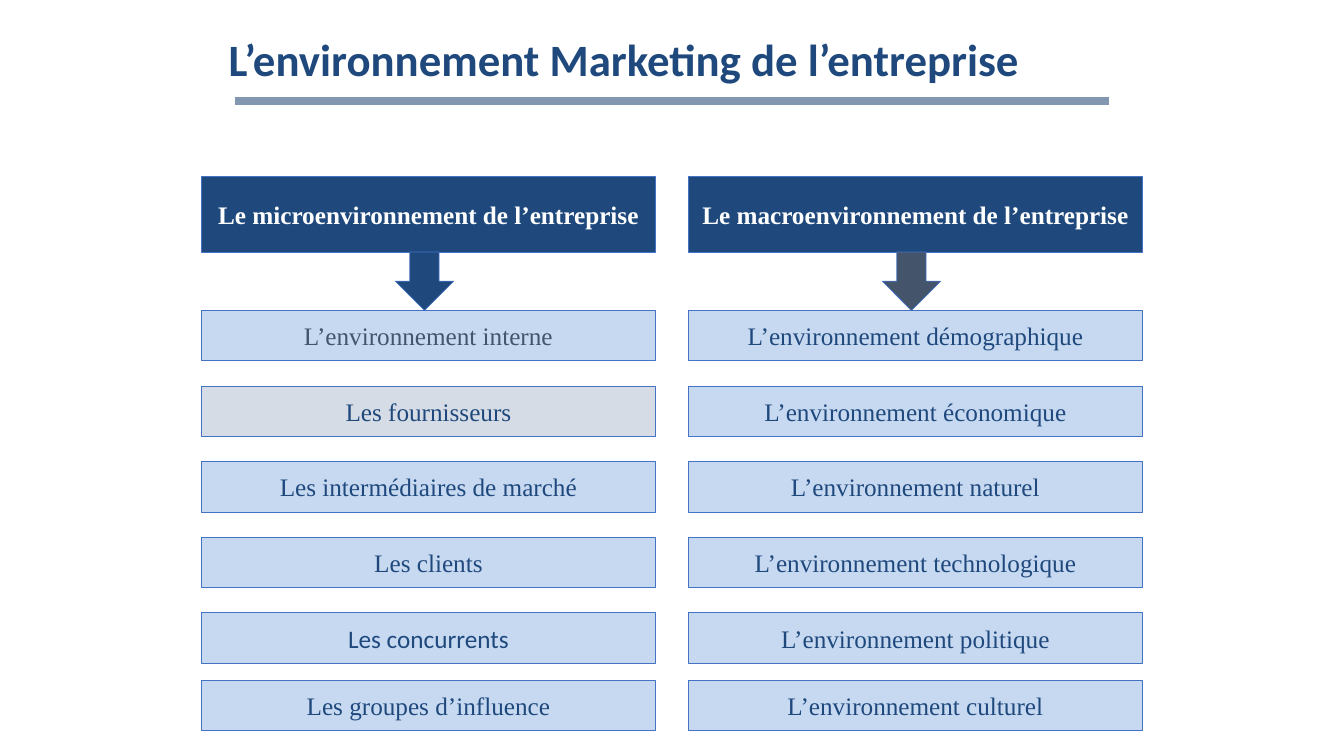
from dataclasses import dataclass

from pptx import Presentation
from pptx.dml.color import RGBColor
from pptx.enum.shapes import MSO_CONNECTOR as Connector, MSO_SHAPE as Shape
from pptx.enum.text import MSO_ANCHOR as Anchor, PP_ALIGN as Align
from pptx.oxml.ns import qn
from pptx.util import Inches, Pt


@dataclass(frozen=True)
class Theme:
    navy: str = "1F497D"
    slate: str = "44546A"
    pale_blue: str = "C6D9F1"
    pale_grey: str = "D6DCE5"
    border: str = "4472C4"
    rule: str = "8497B0"
    white: str = "FFFFFF"
    sans: str = "Calibri"
    serif: str = "Times New Roman"
    title_size: int = 32
    body_size: int = 18
    border_width: float = 0.5
    rule_width: int = 6


THEME = Theme()

TITLE = "L’environnement Marketing de l’entreprise"
COLUMNS = [
    {
        "heading": "Le microenvironnement de l’entreprise",
        "arrow": THEME.navy,
        "factors": [
            "L’environnement interne",
            "Les fournisseurs",
            "Les intermédiaires de marché",
            "Les clients",
            "Les concurrents",
            "Les groupes d’influence",
        ],
    },
    {
        "heading": "Le macroenvironnement de l’entreprise",
        "arrow": THEME.slate,
        "factors": [
            "L’environnement démographique",
            "L’environnement économique",
            "L’environnement naturel",
            "L’environnement technologique",
            "L’environnement politique",
            "L’environnement culturel",
        ],
    },
]
# Factors whose look departs from the common one
SPECIAL = {
    "L’environnement interne": {"color": THEME.slate},
    "Les fournisseurs": {"fill": THEME.pale_grey},
    "Les concurrents": {"font": THEME.sans},
}

COLUMN_LEFT, COLUMN_STEP, COLUMN_WIDTH = 2, 4.83, 4.5
HEADING_TOP, HEADING_HEIGHT = 1.75, 0.75
ARROW_SIZE, ARROW_OFFSET = 0.58, 1.92
FACTOR_TOP, FACTOR_STEP, FACTOR_HEIGHT = 3.08, 0.75, 0.5
LAST_FACTOR_TOP = 6.75


def rgb(value):
    return RGBColor.from_string(value)


def write(shape, text, size, color, font, bold=False, align=Align.CENTER):
    frame = shape.text_frame
    frame.word_wrap = True
    frame.vertical_anchor = Anchor.MIDDLE
    para = frame.paragraphs[0]
    para.text = text
    para.alignment = align
    para.font.size = Pt(size)
    para.font.name = font
    para.font.bold = bold
    para.font.color.rgb = rgb(color)
    return para


def add_block(page, kind, left, top, width, height, fill):
    block = page.shapes.add_shape(
        kind, Inches(left), Inches(top), Inches(width), Inches(height))
    block.shadow.inherit = False
    block.fill.solid()
    block.fill.fore_color.rgb = rgb(fill)
    block.line.color.rgb = rgb(THEME.border)
    block.line.width = Pt(THEME.border_width)
    return block


def add_title(page):
    box = page.shapes.add_textbox(
        Inches(2.17), Inches(0.3), Inches(9), Inches(0.62))
    para = write(box, TITLE, THEME.title_size, THEME.navy, THEME.sans,
                 bold=True, align=Align.LEFT)
    para.line_spacing = 0.9
    rule = page.shapes.add_connector(
        Connector.STRAIGHT, Inches(2.33), Inches(1), Inches(11), Inches(1))
    rule.line.color.rgb = rgb(THEME.rule)
    rule.line.width = Pt(THEME.rule_width)
    properties = rule.element.spPr
    properties.append(properties.makeelement(qn("a:effectLst"), {}))


def add_column(page, left, column):
    heading = add_block(page, Shape.RECTANGLE, left, HEADING_TOP,
                        COLUMN_WIDTH, HEADING_HEIGHT, THEME.navy)
    write(heading, column["heading"], THEME.body_size, THEME.white,
          THEME.serif, bold=True)

    factors = column["factors"]
    for row, factor in enumerate(factors):
        look = SPECIAL.get(factor, {})
        is_last = row == len(factors) - 1
        top = LAST_FACTOR_TOP if is_last else FACTOR_TOP + row * FACTOR_STEP
        box = add_block(page, Shape.RECTANGLE, left, top, COLUMN_WIDTH,
                        FACTOR_HEIGHT, look.get("fill", THEME.pale_blue))
        write(box, factor, THEME.body_size, look.get("color", THEME.navy),
              look.get("font", THEME.serif))

    add_block(page, Shape.DOWN_ARROW, left + ARROW_OFFSET,
              HEADING_TOP + HEADING_HEIGHT, ARROW_SIZE, ARROW_SIZE,
              column["arrow"])


def main():
    deck = Presentation()
    deck.slide_width, deck.slide_height = Inches(13.33), Inches(7.5)
    page = deck.slides.add_slide(deck.slide_layouts[6])
    add_title(page)
    for index, column in enumerate(COLUMNS):
        add_column(page, COLUMN_LEFT + index * COLUMN_STEP, column)
    deck.save("out.pptx")


if __name__ == "__main__":
    main()
